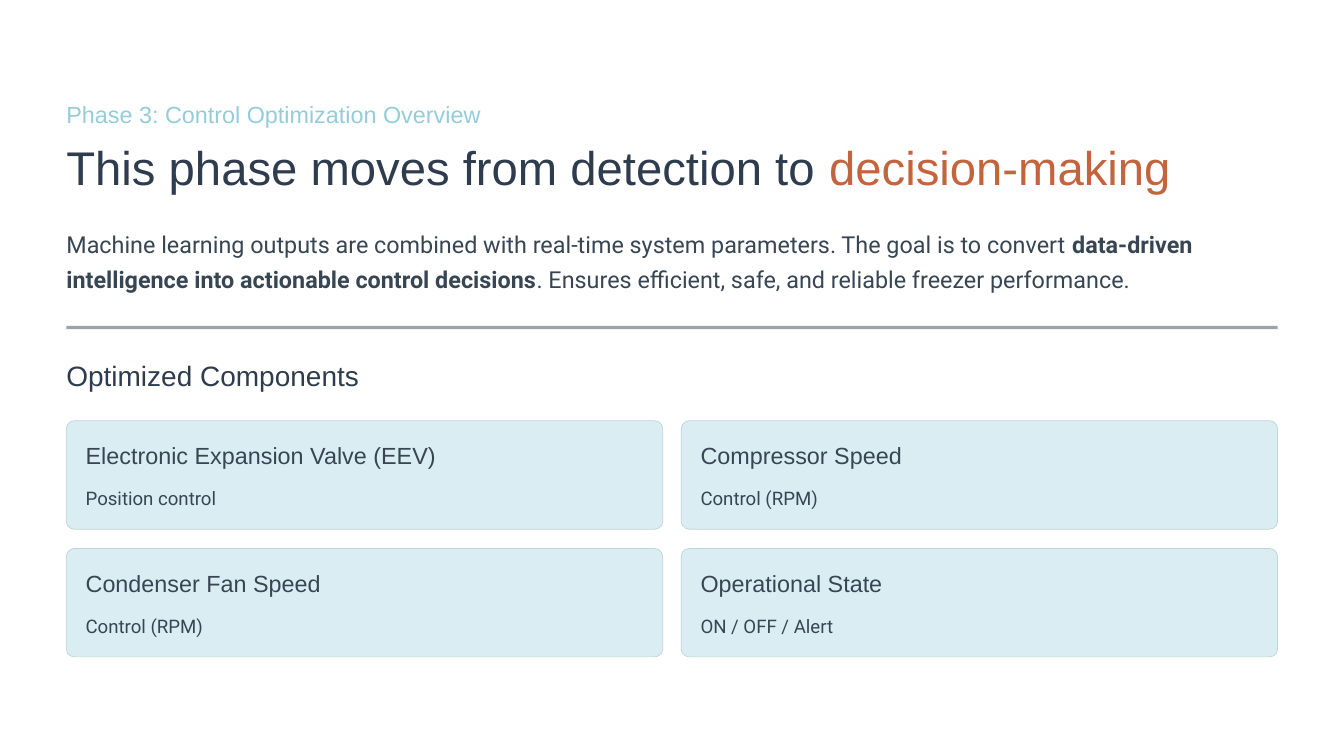
from lxml import etree
from pptx import Presentation
from pptx import util as u
from pptx.dml import color
from pptx.enum import shapes, text
from pptx.oxml import ns

COLORS = {
    "sky": "95CCDA",
    "navy": "2E3C4E",
    "rust": "C3643D",
    "slate": "384653",
    "card": "D9EDF2",
    "border": "BFD3D8",
}
LEFT, WIDTH = 0.79, 14.42
CARD_TOP, CARD_WIDTH, CARD_HEIGHT = 5.01, 7.1, 1.29
COLUMN_STEP, ROW_STEP = WIDTH - CARD_WIDTH, 1.52
PADDING = 0.23
COMPONENTS = [
    ("Electronic Expansion Valve (EEV)", "Position control"),
    ("Compressor Speed", "Control (RPM)"),
    ("Condenser Fan Speed", "Control (RPM)"),
    ("Operational State", "ON / OFF / Alert"),
]


def rgb(name):
    return color.RGBColor.from_string(COLORS[name])


def add_span(para, content, size=20, font="Arial", ink="slate", bold=False):
    span = para.add_run()
    span.text = content
    span.font.size = u.Pt(size)
    span.font.name = font
    span.font.bold = bold
    span.font.color.rgb = rgb(ink)


class SlideBuilder:
    def __init__(self, slide):
        self.slide = slide

    def text(self, left, top, width, height, spans, spacing, wrap=False, **style):
        box = self.slide.shapes.add_textbox(*map(u.Inches, (left, top, width, height)))
        frame = box.text_frame
        frame.margin_left = frame.margin_right = 0
        frame.margin_top = frame.margin_bottom = 0
        frame.vertical_anchor = text.MSO_ANCHOR.TOP
        frame.word_wrap = wrap
        para = frame.paragraphs[0]
        para.line_spacing = u.Pt(spacing)
        for content, changes in spans:
            add_span(para, content, **{**style, **changes})

    def shape(self, kind, left, top, width, height, fill):
        shape = self.slide.shapes.add_shape(
            kind, *map(u.Inches, (left, top, width, height)))
        shape.shadow.inherit = False
        shape.fill.solid()
        shape.fill.fore_color.rgb = rgb(fill)
        shape.line.fill.background()
        return shape

    def divider(self, top):
        bar = self.shape(shapes.MSO_SHAPE.RECTANGLE, LEFT, top, WIDTH, 0.04, "slate")
        tint = bar.fill._xPr.find(".//" + ns.qn("a:srgbClr"))
        etree.SubElement(tint, ns.qn("a:alpha"), val="50000")

    def card(self, left, top, title, detail):
        panel = self.shape(shapes.MSO_SHAPE.ROUNDED_RECTANGLE,
                           left, top, CARD_WIDTH, CARD_HEIGHT, "card")
        panel.adjustments[0] = 0.073
        panel.line.color.rgb = rgb("border")
        panel.line.width = u.Pt(0.6)
        inner = CARD_WIDTH - 2 * PADDING
        self.text(left + PADDING, top + 0.23, inner, 0.35, [(title, {})], 25)
        self.text(left + PADDING, top + 0.72, inner, 0.34, [(detail, {})], 24,
                  size=16, font="Roboto")


def main():
    deck = Presentation()
    deck.slide_width, deck.slide_height = u.Inches(16), u.Inches(9)
    page = SlideBuilder(deck.slides.add_slide(deck.slide_layouts[6]))

    page.text(LEFT, 1.18, 5.11, 0.35,
              [("Phase 3: Control Optimization Overview", {})], 25, ink="sky")
    page.text(LEFT, 1.62, 13.76, 0.7, [
        ("This phase moves from detection to ", {}),
        ("decision-making", {"ink": "rust"}),
    ], 50.5, size=40.5, ink="navy")
    page.text(LEFT, 2.66, WIDTH, 0.84, [
        ("Machine learning outputs are combined with real-time system parameters. "
         "The goal is to convert ", {}),
        ("data-driven intelligence into actionable control decisions", {"bold": True}),
        (". Ensures efficient, safe, and reliable freezer performance.", {}),
    ], 30, wrap=True, font="Roboto")
    page.divider(3.88)
    page.text(LEFT, 4.25, 3.66, 0.42, [("Optimized Components", {})], 30,
              size=24, ink="navy")

    for index, (title, detail) in enumerate(COMPONENTS):
        row, column = divmod(index, 2)
        page.card(LEFT + column * COLUMN_STEP, CARD_TOP + row * ROW_STEP, title, detail)

    deck.save("out.pptx")


if __name__ == "__main__":
    main()
